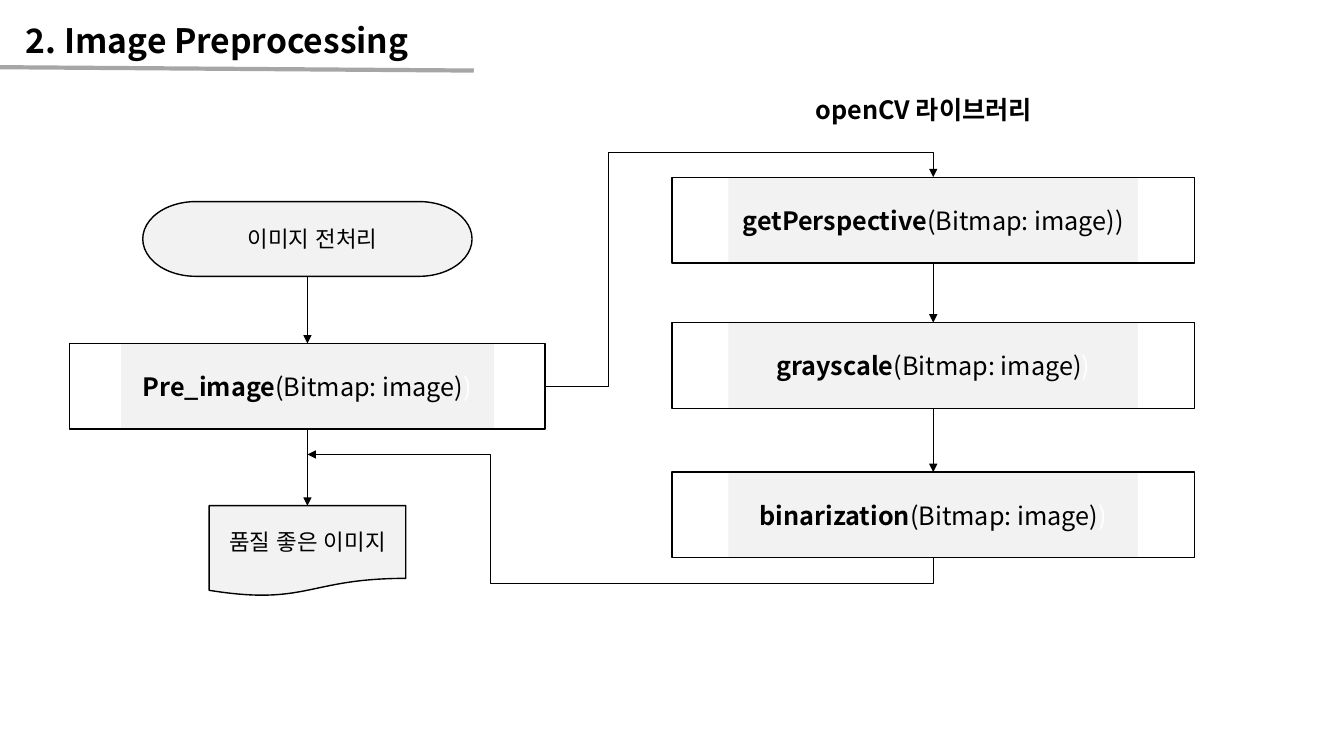
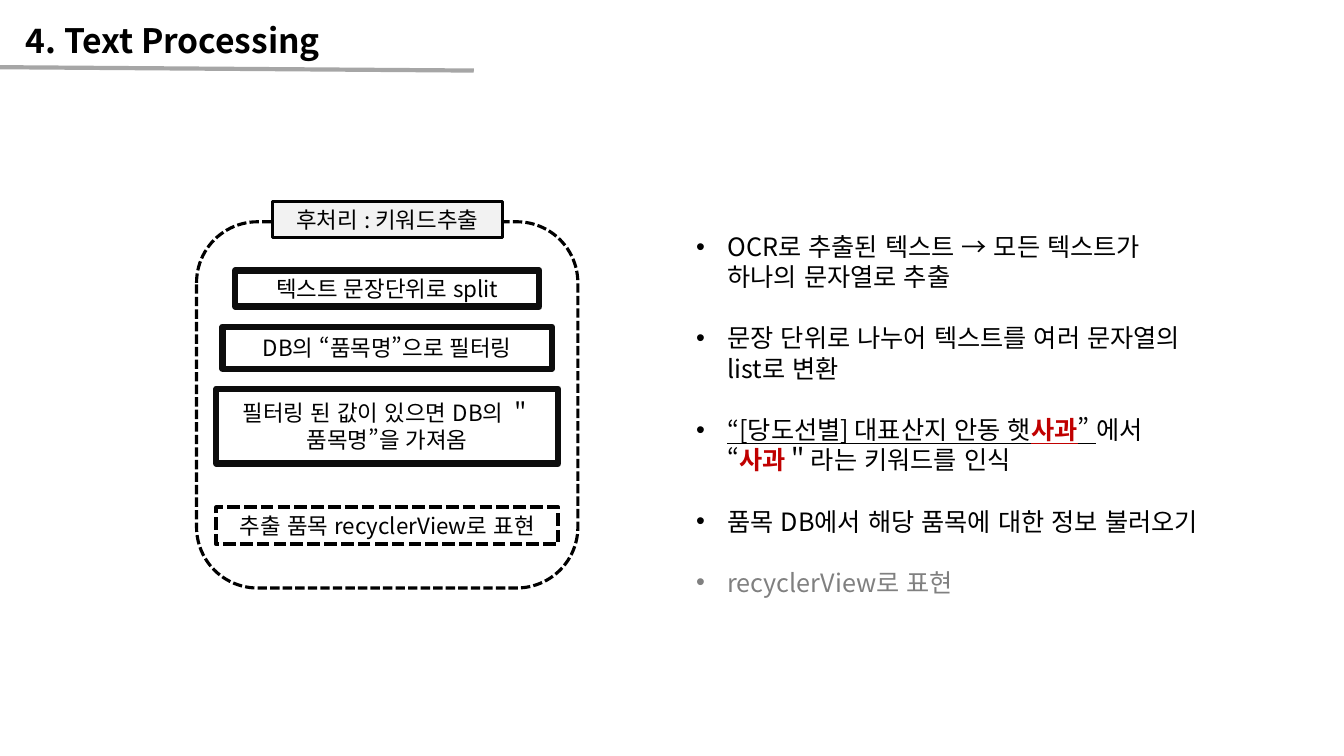
from dataclasses import dataclass

from lxml.etree import SubElement
from pptx import Presentation
from pptx.dml.color import RGBColor
from pptx.enum.dml import MSO_LINE
from pptx.enum.lang import MSO_LANGUAGE_ID
from pptx.enum.shapes import MSO_CONNECTOR, MSO_SHAPE
from pptx.enum.text import MSO_ANCHOR, PP_ALIGN
from pptx.oxml.ns import qn
from pptx.util import Emu, Inches, Pt

COLS, ROWS = 160, 90
CELL = Inches(1) // 12
FONT = "Noto Sans CJK KR"
HUES = {
    "ink": "000000", "edge": "0D0D0D", "pale": "F2F2F2", "rule": "A6A6A6",
    "mute": "808080", "red": "C00000", "white": "FFFFFF",
}
BOLD = {"bold": True}
UNDER = {"underline": True}
KEY = {"bold": True, "hue": "red"}
BAND = 0.108  # share of a call box left white at each side
PITCH = Pt(21.8)

Run = tuple[str, dict]
Point = tuple[float, float]


@dataclass
class Box:
    """A shape centred on column mid; lengths are grid cells."""
    mid: float
    top: float
    wide: float
    high: float
    runs: tuple[Run, ...] = ()
    kind: MSO_SHAPE = MSO_SHAPE.RECTANGLE
    fill: str | None = None
    line: str | None = "ink"
    weight: float = 1
    dash: bool = False
    size: float = 16

    @property
    def left(self) -> float:
        return self.mid - self.wide / 2

    @property
    def head(self) -> Point:
        return self.mid, self.top

    @property
    def foot(self) -> Point:
        return self.mid, self.top + self.high

    @property
    def side(self) -> Point:
        return self.left + self.wide, self.top + self.high / 2


def grid(*cells: float) -> list[Emu]:
    return [Emu(round(cell * CELL)) for cell in cells]


def tint(name: str) -> RGBColor:
    return RGBColor.from_string(HUES[name])


def put(item, **form) -> None:
    for name, value in form.items():
        setattr(item, name, value)


def write(para, runs: tuple[Run, ...], size: float) -> None:
    for text, form in runs:
        form = {"hue": "ink", **form}
        run = para.add_run()
        run.text = text
        run.font.color.rgb = tint(form.pop("hue"))
        put(run.font, name=FONT, size=Pt(size),
            language_id=MSO_LANGUAGE_ID.KOREAN, **form)
        SubElement(run.font._element, qn("a:ea"), typeface=FONT)


def label(slide, cells: Point, span: Point, runs: tuple[Run, ...], size: float):
    """Add a text box and return its first paragraph."""
    frame = slide.shapes.add_textbox(*grid(*cells, *span)).text_frame
    frame.word_wrap = True
    para = frame.paragraphs[0]
    write(para, runs, size)
    return para


def draw(slide, box: Box):
    shape = slide.shapes.add_shape(
        box.kind, *grid(box.left, box.top, box.wide, box.high))
    shape.shadow.inherit = False
    if box.fill:
        shape.fill.solid()
        shape.fill.fore_color.rgb = tint(box.fill)
    else:
        shape.fill.background()
    if box.line:
        shape.line.color.rgb = tint(box.line)
        shape.line.width = Pt(box.weight)
        if box.dash:
            shape.line.dash_style = MSO_LINE.SQUARE_DOT
    else:
        shape.line.fill.background()
    if box.runs:
        put(shape.text_frame, word_wrap=True, vertical_anchor=MSO_ANCHOR.MIDDLE)
        para = shape.text_frame.paragraphs[0]
        para.alignment = PP_ALIGN.CENTER
        write(para, box.runs, box.size)
    return shape


def link(slide, start: Point, end: Point, hue: str = "ink",
         weight: float = 0.5, tip: bool = True,
         bends: tuple[float, ...] = (), turn: bool = False) -> None:
    """Join two points; bends are the elbow shares, turn leaves upright."""
    if turn:
        mid, row = (start[0] + end[0]) / 2, (start[1] + end[1]) / 2
        start, end = ((mid + y - row, row - x + mid) for x, y in (start, end))
    kind = MSO_CONNECTOR.ELBOW if bends else MSO_CONNECTOR.STRAIGHT
    wire = slide.shapes.add_connector(kind, *grid(*start, *end))
    wire.line.color.rgb = tint(hue)
    wire.line.width = Pt(weight)
    props = wire._element.spPr
    if tip:
        SubElement(props.find(qn("a:ln")), qn("a:tailEnd"), type="triangle")
    if bends:
        shape = props.find(qn("a:prstGeom"))
        shape.set("prst", "bentConnector4")
        guides = shape.find(qn("a:avLst"))
        if guides is None:
            guides = SubElement(shape, qn("a:avLst"))
        for place, share in enumerate(bends, 1):
            SubElement(guides, qn("a:gd"), name=f"adj{place}",
                       fmla=f"val {round(share * 100000)}")
    if turn:
        props.find(qn("a:xfrm")).set("rot", "5400000")
    SubElement(props, qn("a:effectLst"))


def page(deck, title: str):
    slide = deck.slides.add_slide(deck.slide_layouts[6])
    para = label(slide, (1.9, 1.4), (63.8, 6), ((title, BOLD),), 24)
    put(para, alignment=PP_ALIGN.JUSTIFY, line_spacing=1.07)
    link(slide, (0, 8), (56.4, 8.4), "rule", 3, False)
    return slide


def call(slide, name: str, mid: float, top: float, wide: float,
         close: Run = (")", {"hue": "white"})) -> Box:
    """Draw a function box over its grey band."""
    box = Box(mid, top, wide, 10.2, size=18,
              runs=((name, BOLD), ("(Bitmap: image)", {}), close))
    draw(slide, Box(mid, top, wide * (1 - 2 * BAND), 10.2, fill="pale", line=None))
    draw(slide, box)
    return box


def flow(deck) -> None:
    slide = page(deck, "2. Image Preprocessing")
    west, east, wide = 36.6, 111.1, 62.2
    start = Box(west, 24, 39.2, 8.9, (("이미지 전처리", {}),),
                MSO_SHAPE.FLOWCHART_TERMINATOR, "pale")
    result = Box(west, 60.2, 23.4, 10.8, (("품질 좋은 이미지", {}),),
                 MSO_SHAPE.FLOWCHART_DOCUMENT, "pale")
    draw(slide, start).text_frame.margin_left = Inches(0.2)
    draw(slide, result)
    first = call(slide, "Pre_image", west, 40.9, 56.6)
    label(slide, (95.9, 10.6), (42.7, 4.8), (("openCV 라이브러리", BOLD),), 18)
    steps = [
        call(slide, "getPerspective", east, 21.1, wide, (")", {})),
        call(slide, "grayscale", east, 38.4, wide),
        call(slide, "binarization", east, 56.2, wide),
    ]
    for chain in ([start, first, result], steps):
        for above, below in zip(chain, chain[1:]):
            link(slide, above.foot, below.head)
    link(slide, first.side, steps[0].head, bends=(0.164, 1.12))
    link(slide, steps[-1].foot, (west, 54.1), bends=(-0.245, 0.708), turn=True)


STAGES = (
    ("텍스트 문장단위로 split", 32.2, 36.2, 4.3),
    ("DB의 “품목명”으로 필터링", 38.9, 39.2, 5),
    ("필터링 된 값이 있으면 DB의 ＂품목명”을 가져옴", 46.3, 40.7, 8.9),
)
NOTES: tuple[tuple[Run, ...], ...] = (
    (("OCR로 추출된 텍스트 → 모든 텍스트가 하나의 문자열로 추출", {}),),
    (("문장 단위로 나누어 텍스트를 여러 문자열의 list로 변환", {}),),
    (("“[당도선별] 대표산지 안동 햇", UNDER), ("사과", {**KEY, **UNDER}),
     ("” ", UNDER), ("에서 “", {}), ("사과", KEY), ("＂라는 키워드를 인식", {})),
    (("품목 DB에서 해당 품목에 대한 정보 불러오기", {}),),
    (("recyclerView로 표현", {"hue": "mute"}),),
)


def bullet(para) -> None:
    props = para._p.get_or_add_pPr()
    indent = Inches(0.31)
    props.set("marL", str(indent))
    props.set("indent", str(-indent))
    SubElement(props, qn("a:buFont"), typeface="Arial")
    SubElement(props, qn("a:buChar"), char="•")


def words(deck) -> None:
    slide = page(deck, "4. Text Processing")
    mid = 46.1
    draw(slide, Box(mid, 26.4, 45.4, 43.6, kind=MSO_SHAPE.ROUNDED_RECTANGLE,
                    weight=2.25, dash=True))
    draw(slide, Box(mid, 24, 27.4, 4.3, (("후처리 : 키워드추출", {}),),
                    fill="pale", weight=2.25))
    for text, top, wide, high in STAGES:
        draw(slide, Box(mid, top, wide, high, ((text, {}),),
                        line="edge", weight=4.5))
    draw(slide, Box(mid, 60.4, 40.7, 4.4, (("추출 품목 recyclerView로 표현", {}),),
                    weight=3, dash=True))

    frame = slide.shapes.add_textbox(*grid(81.7, 26.9, 63.2, 48.5)).text_frame
    frame.word_wrap = True
    for place, runs in enumerate(NOTES):
        para = frame.add_paragraph() if place else frame.paragraphs[0]
        bullet(para)
        put(para, line_spacing=PITCH, space_before=PITCH if place else Pt(0))
        write(para, runs, 18)


def main() -> None:
    deck = Presentation()
    put(deck, slide_width=COLS * CELL, slide_height=ROWS * CELL)
    flow(deck)
    words(deck)
    deck.save("out.pptx")


if __name__ == "__main__":
    main()
